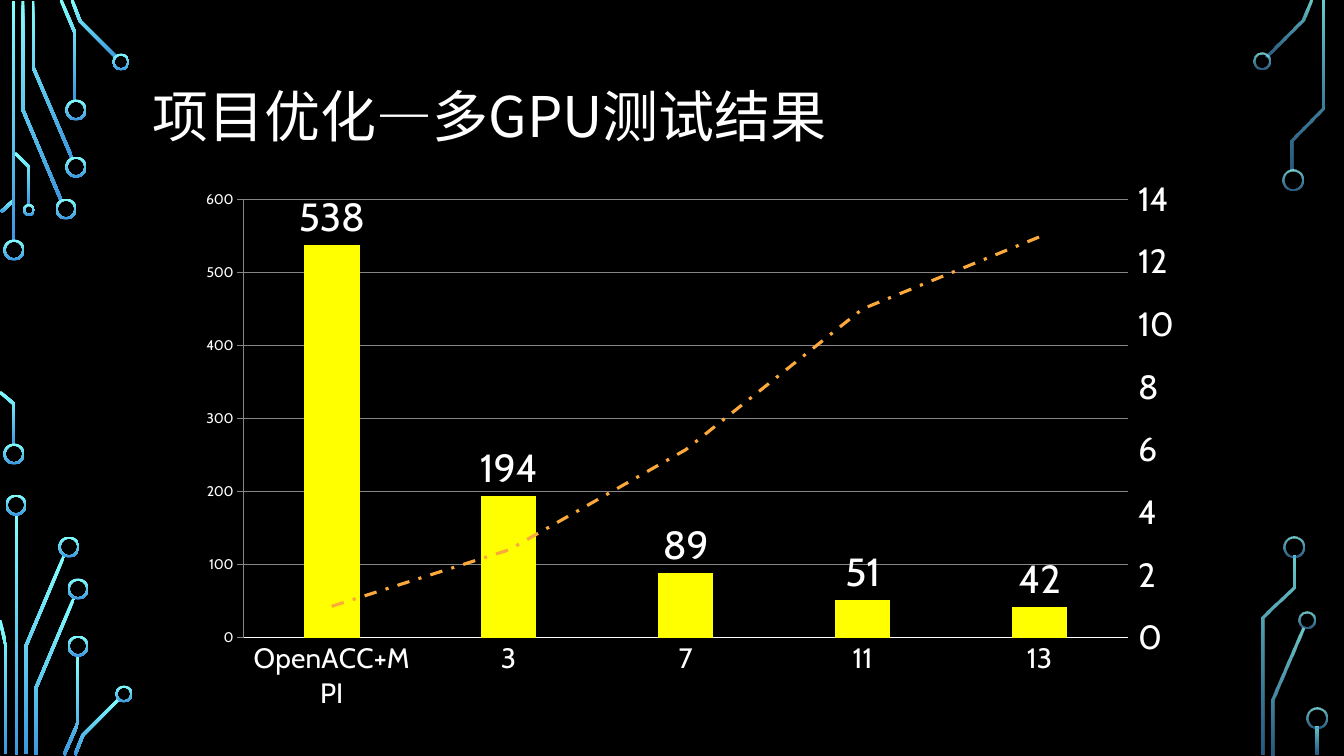
from math import hypot

from lxml import etree
from pptx import Presentation
from pptx.chart.axis import ValueAxis
from pptx.chart.data import CategoryChartData
from pptx.dml.color import RGBColor
from pptx.enum.chart import XL_CHART_TYPE, XL_LABEL_POSITION, XL_MARKER_STYLE, XL_TICK_MARK
from pptx.enum.dml import MSO_LINE
from pptx.enum.shapes import MSO_SHAPE
from pptx.enum.text import MSO_ANCHOR
from pptx.oxml import parse_xml
from pptx.oxml.ns import nsdecls, qn
from pptx.util import Pt

PX = 914400 / 100.8
COLORS = {"background": "000000", "text": "FFFFFF", "glow": "82FFFF", "deep": "3D97DE",
          "runtime": "FFFF00", "speedup": "FAA93A"}
TITLE_FONT, CHART_FONT = "Noto Sans CJK SC", "Cabin"
DONUT, RECTANGLE = MSO_SHAPE.DONUT, MSO_SHAPE.RECTANGLE
MIDDLE = MSO_ANCHOR.MIDDLE
COLUMNS = XL_CHART_TYPE.COLUMN_CLUSTERED
OUTSIDE_END = XL_LABEL_POSITION.OUTSIDE_END
NO_MARKER = XL_MARKER_STYLE.NONE
TICK_NONE, TICK_OUT = XL_TICK_MARK.NONE, XL_TICK_MARK.OUTSIDE
DASH_DOT = MSO_LINE.DASH_DOT
TRACE_WIDTH = 3
RING_WIDTH = 2

LEFT_TRACES = [
    [(23, 1), (23, 110), (61, 200)], [(33, 1), (33, 67), (72, 158)],
    [(61, 0), (75, 33), (75, 101)], [(72, 0), (80, 21), (116, 57)],
    [(1, 212), (14, 200)], [(0, 392), (14, 404), (14, 445)],
    [(15, 153), (29, 167), (29, 205)], [(26, 754), (26, 646), (64, 556)],
    [(6, 754), (6, 646), (0, 620)], [(36, 755), (36, 688), (74, 598)],
    [(64, 755), (78, 723), (78, 655)], [(75, 755), (83, 735), (119, 699)],
]
RIGHT_TRACES = [
    [(1311, 0), (1303, 20), (1267, 56)], [(1273, 755), (1273, 699), (1303, 628)],
    [(1292, 170), (1292, 140), (1323, 108), (1323, 1)],
    [(1263, 755), (1263, 618), (1294, 588), (1294, 556)],
]
LEFT_BARS = [(12, 1, 241), (15, 514, 241)]
RIGHT_BARS = [(1316, 727, 28)]
LEFT_RINGS = {
    21: [(14, 250), (14, 454), (66, 209), (76, 167), (76, 110), (16, 505), (69, 547),
         (78, 589), (78, 646)],
    17: [(121, 62), (124, 694)],
    12: [(29, 210)],
}
RIGHT_RINGS = {21: [(1293, 180), (1294, 547), (1317, 718)], 17: [(1262, 61), (1307, 620)]}


def px(value):
    return round(value * PX)


def rgb(name):
    return RGBColor.from_string(COLORS[name])


def set_font(font, size, name=CHART_FONT):
    font.size = Pt(size)
    font.name = name
    font.bold = False
    font.color.rgb = rgb("text")


def add_text(slide, text, left, top, width, height, size, name):
    frame = slide.shapes.add_textbox(px(left), px(top), px(width), px(height)).text_frame
    frame.word_wrap = True
    frame.vertical_anchor = MIDDLE
    paragraph = frame.paragraphs[0]
    paragraph.line_spacing = 0.9
    run = paragraph.add_run()
    run.text = text
    set_font(run.font, size, name)
    etree.SubElement(run.font._element, qn("a:ea")).set("typeface", name)


def paint_glow(shape, alphas):
    shape.shadow.inherit = False
    shape.line.fill.background()
    shape.fill.gradient()
    shape.fill.gradient_angle = 270
    for stop, name in zip(shape.fill.gradient_stops, ("glow", "deep")):
        stop.color.rgb = rgb(name)
    for color, alpha in zip(shape._element.iter(qn("a:srgbClr")), alphas):
        if alpha < 100:
            etree.SubElement(color, qn("a:alpha")).set("val", str(alpha * 1000))


def trace_edge(points, offset):
    normals = []
    for (x1, y1), (x2, y2) in zip(points, points[1:]):
        length = hypot(x2 - x1, y2 - y1)
        normals.append(((y1 - y2) / length, (x2 - x1) / length))
    edge = []
    for (x, y), (ax, ay), (bx, by) in zip(points, normals[:1] + normals, normals + normals[-1:]):
        reach = offset / (1 + ax * bx + ay * by)
        edge.append((px(x + (ax + bx) * reach), px(y + (ay + by) * reach)))
    return edge


def add_trace(slide, points, alphas):
    half = TRACE_WIDTH / 2
    outline = trace_edge(points, half) + trace_edge(points, -half)[::-1]
    builder = slide.shapes.build_freeform(*outline[0], scale=1.0)
    builder.add_line_segments(outline[1:], close=True)
    paint_glow(builder.convert_to_shape(), alphas)


def add_ring(slide, center, size, alphas):
    x, y = center
    ring = slide.shapes.add_shape(DONUT, px(x - size / 2), px(y - size / 2), px(size), px(size))
    ring.adjustments[0] = RING_WIDTH / size
    paint_glow(ring, alphas)


def add_circuit(slide, traces, bars, rings, alphas):
    for points in traces:
        add_trace(slide, points, alphas)
    for x, y, height in bars:
        bar = slide.shapes.add_shape(RECTANGLE, px(x), px(y), px(TRACE_WIDTH), px(height))
        paint_glow(bar, alphas)
    for size, centers in rings.items():
        for center in centers:
            add_ring(slide, center, size, alphas)


def format_axis(axis, size, tick=TICK_NONE, line=False):
    axis.major_tick_mark = tick
    axis.minor_tick_mark = TICK_NONE
    set_font(axis.tick_labels.font, size)
    if line:
        axis.format.line.color.rgb = rgb("text")
        axis.format.line.width = Pt(0.75)
    else:
        axis.format.line.fill.background()


def set_scale(axis, top, step):
    axis.minimum_scale, axis.maximum_scale, axis.major_unit = 0, top, step


def axis_xml(tag, own, other, deleted, side, crosses):
    return parse_xml(
        f'<c:{tag} {nsdecls("c")}><c:axId val="{own}"/>'
        '<c:scaling><c:orientation val="minMax"/></c:scaling>'
        f'<c:delete val="{deleted}"/><c:axPos val="{side}"/>'
        '<c:numFmt formatCode="General" sourceLinked="0"/><c:tickLblPos val="nextTo"/>'
        f'<c:crossAx val="{other}"/><c:crosses val="{crosses}"/></c:{tag}>')


def move_to_right_axis(chart):
    bars = chart.plots[0]._element
    series = bars.findall(qn("c:ser"))[1]
    for flag in series.findall(qn("c:invertIfNegative")):
        series.remove(flag)
    lines = parse_xml(
        f'<c:lineChart {nsdecls("c")}><c:grouping val="standard"/><c:varyColors val="0"/>'
        '<c:marker val="1"/><c:axId val="5001"/><c:axId val="5002"/></c:lineChart>')
    lines.insert(2, series)
    bars.addnext(lines)
    right = axis_xml("valAx", 5002, 5001, 0, "r", "max")
    left_axis = chart.value_axis._element
    left_axis.addnext(right)
    right.addnext(axis_xml("catAx", 5001, 5002, 1, "b", "autoZero"))
    return ValueAxis(right)


def place_plot(chart, **fractions):
    layout = "".join(f'<c:{key} val="{value}"/>' for key, value in fractions.items())
    area = chart._chartSpace.chart.plotArea
    for old in area.findall(qn("c:layout")):
        area.remove(old)
    area.insert(0, parse_xml(
        f'<c:layout {nsdecls("c")}><c:manualLayout><c:layoutTarget val="inner"/>'
        f'<c:xMode val="edge"/><c:yMode val="edge"/>{layout}</c:manualLayout></c:layout>'))


def add_results_chart(slide):
    data = CategoryChartData()
    data.categories = ["OpenACC+MPI", "3", "7", "11", "13"]
    data.add_series("运行时间", [538, 194, 89, 51, 42])
    data.add_series("加速比", [1, 2.8, 6, 10.5, 12.8])
    chart = slide.shapes.add_chart(COLUMNS, px(161), px(166), px(1029), px(555), data).chart
    chart.has_legend = chart.has_title = False
    set_font(chart.font, 10)
    speedup_axis = move_to_right_axis(chart)
    place_plot(chart, x=0.08, y=0.06, w=0.86, h=0.79)
    format_axis(chart.category_axis, 20, line=True)
    format_axis(chart.value_axis, 20)
    format_axis(speedup_axis, 24, tick=TICK_OUT)
    set_scale(chart.value_axis, 600, 100)
    set_scale(speedup_axis, 14, 2)
    grid = chart.value_axis.major_gridlines.format.line
    grid.color.rgb = rgb("text")
    grid.width = Pt(0.75)

    columns, lines = chart.plots
    columns.gap_width = 219
    columns.vary_by_categories = False
    runtime, speedup = columns.series[0], lines.series[0]
    runtime.format.fill.solid()
    runtime.format.fill.fore_color.rgb = rgb("runtime")
    labels = runtime.data_labels
    labels.show_value = True
    labels.position = OUTSIDE_END
    set_font(labels.font, 28)
    speedup.smooth = False
    speedup.marker.style = NO_MARKER
    speedup.format.line.color.rgb = rgb("speedup")
    speedup.format.line.width = Pt(2.25)
    speedup.format.line.dash_style = DASH_DOT


def main():
    deck = Presentation()
    deck.slide_width, deck.slide_height = px(1344), px(756)
    slide = deck.slides.add_slide(deck.slide_layouts[6])
    slide.background.fill.solid()
    slide.background.fill.fore_color.rgb = rgb("background")
    add_circuit(slide, LEFT_TRACES, LEFT_BARS, LEFT_RINGS, (100, 100))
    add_circuit(slide, RIGHT_TRACES, RIGHT_BARS, RIGHT_RINGS, (80, 60))
    add_text(slide, "项目优化—多GPU测试结果", 143, 72, 1092, 95, size=40, name=TITLE_FONT)
    add_results_chart(slide)
    deck.save("out.pptx")


main()
